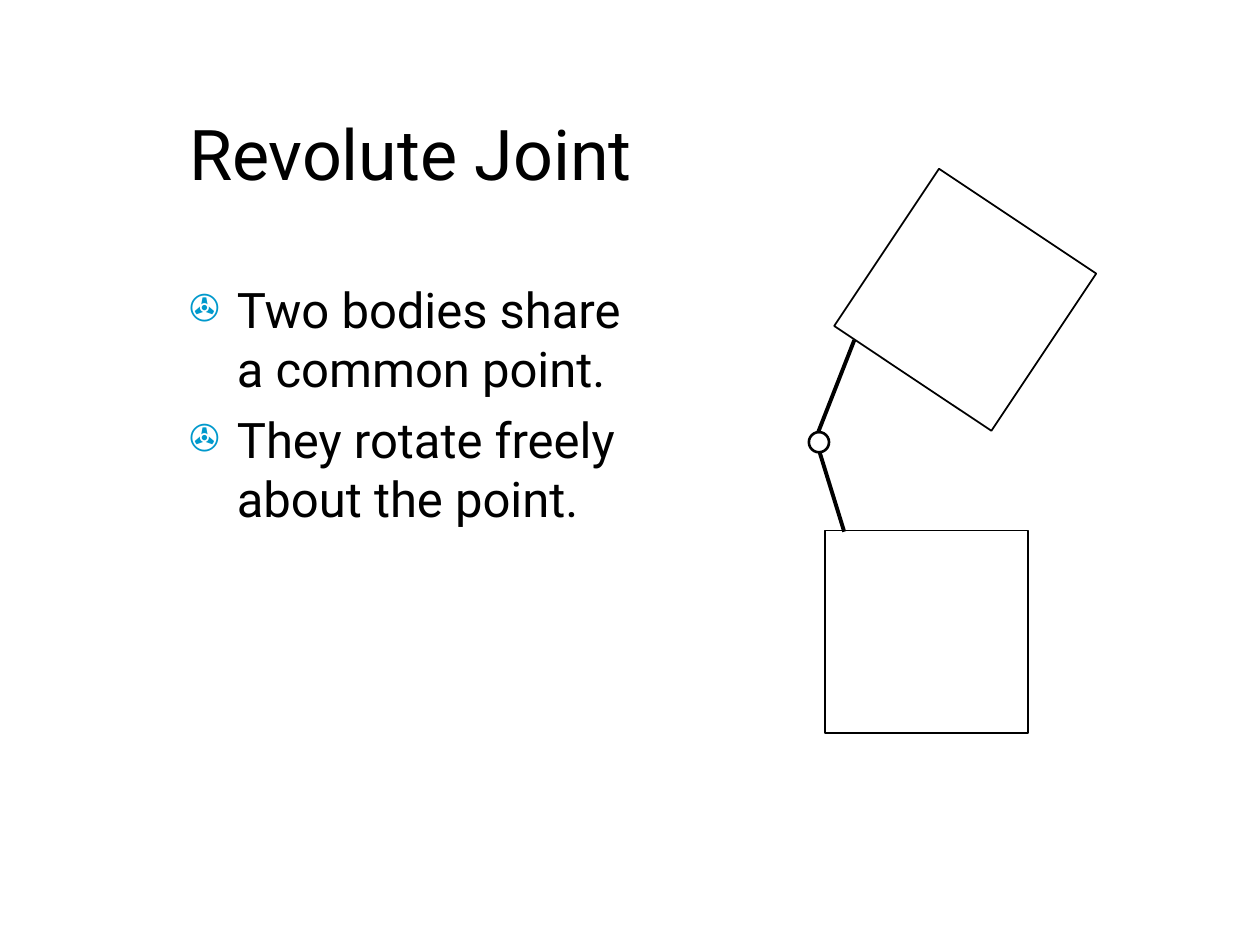
from lxml import etree
from pptx import Presentation
from pptx.dml.color import RGBColor
from pptx.enum.shapes import MSO_CONNECTOR as CONN, MSO_SHAPE as SHAPE
from pptx.enum.text import MSO_ANCHOR as ANCHOR, MSO_AUTO_SIZE as AUTO, PP_ALIGN as ALIGN
from pptx.oxml.ns import qn
from pptx.util import Inches, Pt

FONT = "Roboto"
BLACK, WHITE, BLUE = "000000", "FFFFFF", "0099CC"


def rgb(value):
    return RGBColor.from_string(value)


def format_text(s, box, size, anchor):
    """Place a text placeholder and format its paragraphs."""
    s.left, s.top, s.width, s.height = [Inches(v) for v in box]
    tf = s.text_frame
    tf.word_wrap = True
    tf.auto_size = AUTO.NONE
    tf.vertical_anchor = anchor
    for i, p in enumerate(tf.paragraphs):
        p.alignment = ALIGN.LEFT
        p.space_before = Pt(7 if i else 0)
        for r in p.runs:
            r.font.name = FONT
            r.font.size = Pt(size)
            r.font.color.rgb = rgb(BLACK)


prs = Presentation()
prs.slide_width, prs.slide_height = Inches(10), Inches(7.5)
slide = prs.slides.add_slide(prs.slide_layouts[1])
slide.background.fill.solid()
slide.background.fill.fore_color.rgb = rgb(WHITE)

# Title and bullet list
title, body = slide.shapes.title, slide.placeholders[1]
title.text_frame.text = "Revolute Joint"
format_text(title, (1.4, 0.42, 7.75, 1.58), 40, ANCHOR.MIDDLE)

body.text_frame.text = "Two bodies share a common point.\nThey rotate freely about the point."
format_text(body, (1.4, 2.17, 3.74, 3.67), 28, ANCHOR.TOP)
for p in body.text_frame.paragraphs:
    pPr = p._p.get_or_add_pPr()
    pPr.set("marL", str(Inches(0.38)))
    pPr.set("indent", str(-Inches(0.38)))
    color = etree.SubElement(pPr, qn("a:buClr"))
    etree.SubElement(color, qn("a:srgbClr"), val=BLUE)
    etree.SubElement(pPr, qn("a:buSzPct"), val="75000")
    etree.SubElement(pPr, qn("a:buChar"), char="✇")

# The two bodies
for left, top, side, angle in [(6.55, 4.21, 1.61, 0), (6.91, 1.63, 1.5, 33.7)]:
    s = slide.shapes.add_shape(SHAPE.RECTANGLE, Inches(left), Inches(top), Inches(side), Inches(side))
    s.rotation = angle
    s.shadow.inherit = False
    s.fill.background()
    s.line.color.rgb = rgb(BLACK)
    s.line.width = Pt(1)

# Links from the bodies to the joint
for ends in [(6.7, 4.22, 6.49, 3.54), (6.49, 3.44, 6.78, 2.7)]:
    link = slide.shapes.add_connector(CONN.STRAIGHT, *[Inches(v) for v in ends])
    link.line.color.rgb = rgb(BLACK)
    link.line.width = Pt(2.25)
    etree.SubElement(link._element.spPr, qn("a:effectLst"))

joint = slide.shapes.add_shape(SHAPE.OVAL, Inches(6.42), Inches(3.43), Inches(0.16), Inches(0.16))
joint.shadow.inherit = False
joint.fill.solid()
joint.fill.fore_color.rgb = rgb(WHITE)
joint.line.color.rgb = rgb(BLACK)
joint.line.width = Pt(1.5)

prs.save("out.pptx")
